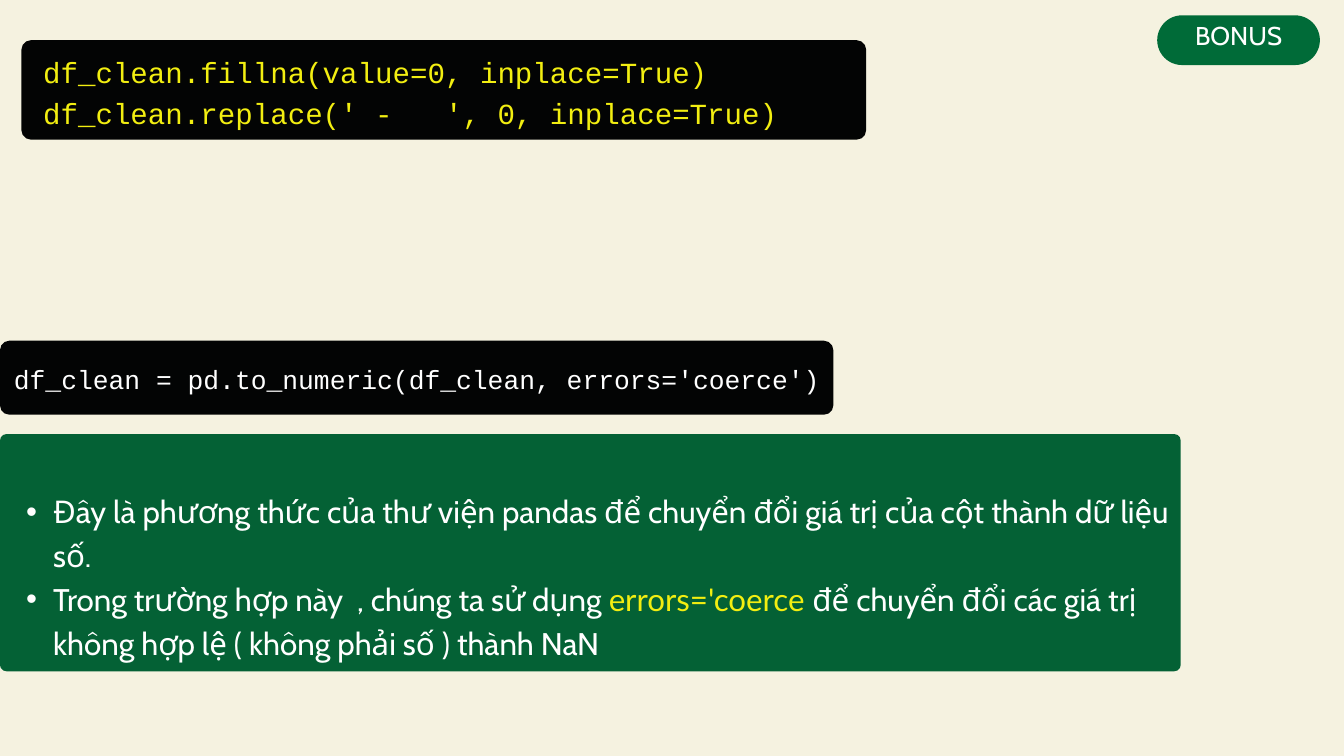
from typing import NamedTuple

from lxml import etree
from pptx import Presentation
from pptx import util as u
from pptx.dml.color import RGBColor
from pptx.enum import shapes, text
from pptx.oxml.ns import qn

CREAM = RGBColor(0xF5, 0xF2, 0xE0)
BLACK = RGBColor(0x03, 0x04, 0x04)
GREEN = RGBColor(0x04, 0x61, 0x35)
BADGE_GREEN = RGBColor(0x00, 0x6B, 0x38)
YELLOW = RGBColor(0xF2, 0xEE, 0x11)
WHITE = RGBColor(0xFF, 0xFF, 0xFF)

CODE_FONT = "Courier New"
BODY_FONT = "Cabin"
LINE_RATIO = 1.4  # line pitch relative to the font size
BULLET_MARGIN = u.Cm(2.01)
BULLET_HANG = u.Cm(-1.02)


class Area(NamedTuple):
    """Left, top, width and height in centimetres."""
    left: float
    top: float
    width: float
    height: float

    def lengths(self) -> list[u.Cm]:
        return [u.Cm(value) for value in self]


class Panel(NamedTuple):
    area: Area
    radius: float
    color: RGBColor


class Span(NamedTuple):
    words: str
    font: str
    color: RGBColor


class TextBlock(NamedTuple):
    area: Area
    size: float
    paragraphs: list[list[Span]]
    centered: bool = False
    bulleted: bool = False
    inset: float = 0
    anchor: text.MSO_ANCHOR = text.MSO_ANCHOR.TOP
    fit: text.MSO_AUTO_SIZE = text.MSO_AUTO_SIZE.SHAPE_TO_FIT_TEXT


PANELS = [
    Panel(Area(0.81, 1.52, 31.93, 3.76), 0.36, BLACK),
    Panel(Area(0, 12.88, 31.5, 2.8), 0.36, BLACK),
    Panel(Area(0, 16.41, 44.63, 8.97), 0.25, GREEN),
    Panel(Area(43.74, 0.58, 6.15, 1.88), 0.94, BADGE_GREEN),
]

TEXT_BLOCKS = [
    # Badge
    TextBlock(Area(43.74, 0, 6.15, 2.46), 27.6,
              [[Span("BONUS", BODY_FONT, WHITE)]],
              centered=True, inset=0.15, anchor=text.MSO_ANCHOR.MIDDLE,
              fit=text.MSO_AUTO_SIZE.NONE),
    # Code that fills the gaps
    TextBlock(Area(1.63, 1.83, 30.89, 3), 31.2, [
        [Span("df_clean.fillna(value=0, inplace=True)", CODE_FONT, YELLOW)],
        [Span("df_clean.replace(' -   ', 0, inplace=True)", CODE_FONT, YELLOW)],
    ]),
    # Code that converts to numbers
    TextBlock(Area(-1.27, 13.54, 34.04, 1.35), 28.2, [
        [Span("df_clean = pd.to_numeric(df_clean, errors='coerce')",
              CODE_FONT, WHITE)],
    ], centered=True),
    # Explanation
    TextBlock(Area(0, 18.39, 44.63, 4.85), 33.5, [
        [Span("Đây là phương thức của thư viện pandas để chuyển đổi giá trị "
              "của cột thành dữ liệu số.", BODY_FONT, WHITE)],
        [Span("Trong trường hợp này  , chúng ta sử dụng ", BODY_FONT, WHITE),
         Span("errors='coerce ", "Lato", YELLOW),
         Span("để chuyển đổi các giá trị không hợp lệ ( không phải số ) "
              "thành NaN", BODY_FONT, WHITE)],
    ], bulleted=True),
]


def draw_panel(page, panel: Panel) -> None:
    shape = page.shapes.add_shape(
        shapes.MSO_SHAPE.ROUNDED_RECTANGLE, *panel.area.lengths())
    shape.adjustments[0] = panel.radius / min(panel.area.width, panel.area.height)
    shape.shadow.inherit = False
    shape.fill.solid()
    shape.fill.fore_color.rgb = panel.color
    shape.line.fill.background()


def add_bullet(para) -> None:
    para.level = 1
    properties = para._p.get_or_add_pPr()
    properties.set("marL", str(BULLET_MARGIN))
    properties.set("indent", str(BULLET_HANG))
    etree.SubElement(properties, qn("a:buFont")).set("typeface", "Arial")
    etree.SubElement(properties, qn("a:buChar")).set("char", "•")


def draw_text(page, block: TextBlock) -> None:
    box = page.shapes.add_textbox(*block.area.lengths())
    frame = box.text_frame
    frame.word_wrap = True
    frame.auto_size = block.fit
    frame.vertical_anchor = block.anchor
    frame.margin_left = frame.margin_right = u.Cm(block.inset)
    frame.margin_top = frame.margin_bottom = u.Cm(block.inset)
    for index, spans in enumerate(block.paragraphs):
        para = frame.add_paragraph() if index else frame.paragraphs[0]
        if block.bulleted:
            add_bullet(para)
        para.alignment = (text.PP_ALIGN.CENTER if block.centered
                          else text.PP_ALIGN.LEFT)
        para.line_spacing = u.Pt(round(block.size * LINE_RATIO, 1))
        for span in spans:
            run = para.add_run()
            run.text = span.words
            run.font.name = span.font
            run.font.size = u.Pt(block.size)
            run.font.color.rgb = span.color


def main() -> None:
    deck = Presentation()
    deck.slide_width, deck.slide_height = u.Cm(50.8), u.Cm(28.58)
    page = deck.slides.add_slide(deck.slide_layouts[6])
    page.background.fill.solid()
    page.background.fill.fore_color.rgb = CREAM

    for panel in PANELS:
        draw_panel(page, panel)
    for block in TEXT_BLOCKS:
        draw_text(page, block)

    deck.save("out.pptx")


if __name__ == "__main__":
    main()
